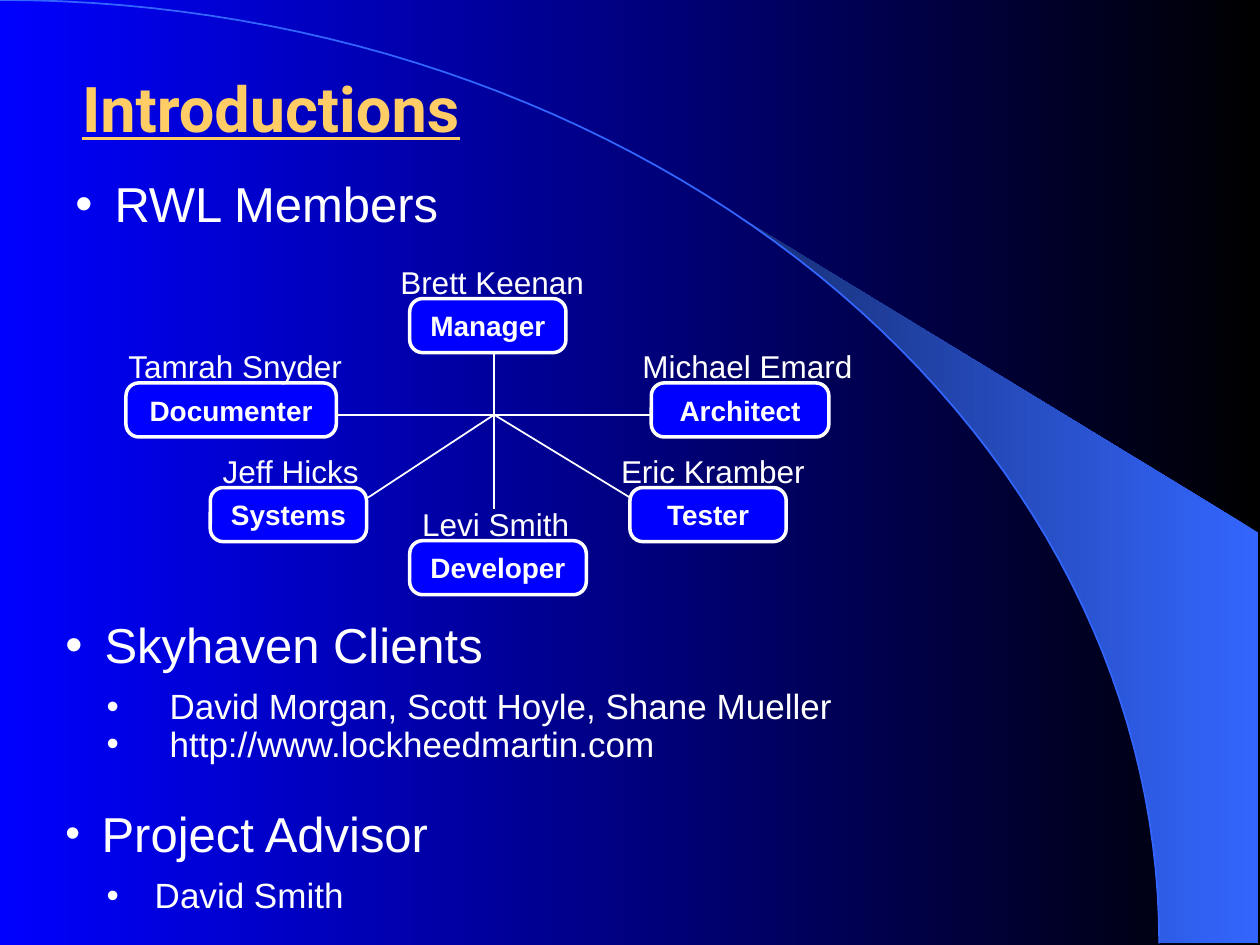
import math
from dataclasses import dataclass

import pptx
import pptx.dml.color
import pptx.enum.shapes
import pptx.enum.text
import pptx.oxml.ns
import pptx.util
from lxml import etree
from pptx.util import Cm

Align = pptx.enum.text.PP_ALIGN
Anchor = pptx.enum.text.MSO_ANCHOR


def rgb(code: str) -> pptx.dml.color.RGBColor:
    return pptx.dml.color.RGBColor.from_string(code)


@dataclass(frozen=True)
class Theme:
    black: str = "000000"
    blue: str = "0000FF"
    sky: str = "3366FF"
    navy: str = "172F75"
    white: str = "FFFFFF"
    gold: str = "FFCC66"
    body_font: str = "Arial"
    title_font: str = "Roboto"
    title_size: int = 36
    heading_size: int = 28
    list_size: int = 20
    name_size: int = 18
    role_size: int = 16
    thin: int = 1
    thick: int = 2


THEME = Theme()


# All lengths below are centimetres
@dataclass(frozen=True)
class Member:
    role: str
    left: float
    top: float
    width: float
    name: str
    name_left: float
    name_width: float


@dataclass(frozen=True)
class BulletBox:
    lines: tuple[str, ...]
    left: float
    top: float
    width: float
    height: float
    size: int
    indent: float
    spacing: float = 1.0
    bullet_percent: int = 100


PAGE_WIDTH, PAGE_HEIGHT = 25.4, 19.05
ARC_WIDTH, ARC_HEIGHT = 23.37, 19.02
WEDGE_START, WEDGE_RIGHT, WEDGE_TOP = 14.96, 25.37, 10.74
ROLE_HEIGHT, NAME_HEIGHT, NAME_RISE = 1.09, 1.02, 0.84

MEMBERS = (
    Member("Manager", 8.26, 6.02, 3.15, "Brett Keenan", 7.82, 4.45),
    Member("Architect", 13.13, 7.72, 3.58, "Michael Emard", 12.7, 4.88),
    Member("Tester", 12.7, 9.83, 3.15, "Eric Kramber", 12.27, 4.65),
    Member("Developer", 8.26, 10.9, 3.56, "Levi Smith", 8.26, 4.24),
    Member("Systems", 4.24, 9.83, 3.15, "Jeff Hicks", 4.24, 3.61),
    Member("Documenter", 2.54, 7.72, 4.24, "Tamrah Snyder", 2.34, 5.08),
)

HUB = (9.96, 8.36)
SPOKES = (
    ((HUB[0], 7.09), (HUB[0], 10.26)),
    ((6.55, HUB[1]), (13.13, HUB[1])),
    (HUB, (7.42, 10.03)),
    (HUB, (12.7, 10.03)),
)

BULLET_BOXES = (
    BulletBox(("RWL Members",), 1.27, 3.38, 8.71, 1.45, THEME.heading_size, 0.79),
    BulletBox(("Skyhaven Clients",), 1.07, 12.27, 9.73, 1.45, THEME.heading_size, 0.79),
    BulletBox(("Project Advisor",), 1.07, 16.08, 8.89, 1.45, THEME.heading_size, 0.73,
              bullet_percent=86),
    BulletBox(("David Morgan, Scott Hoyle, Shane Mueller", "http://www.lockheedmartin.com"),
              1.9, 13.77, 16.13, 1.9, THEME.list_size, 1.27, 0.9),
    BulletBox(("David Smith",), 1.9, 17.58, 16.13, 1.04, THEME.list_size, 0.97, 0.9),
)


def paint_gradient(fill, first: str, last: str) -> None:
    fill.gradient()
    fill.gradient_angle = 180
    for stop, code in zip(fill.gradient_stops, (first, last)):
        stop.color.rgb = rgb(code)


def style_line(line, width: int, code: str) -> None:
    line.color.rgb = rgb(code)
    line.width = pptx.util.Pt(width)


def style_font(font, size: int, bold: bool = False, name: str = THEME.body_font,
               code: str = THEME.white) -> None:
    font.name, font.size, font.bold = name, pptx.util.Pt(size), bold
    font.color.rgb = rgb(code)


def arc_points(start: float, steps: int = 60) -> list[tuple[float, float]]:
    """Points along the quarter ellipse, from an angle to its lower right end."""
    angles = (start + (math.pi / 2 - start) * step / steps for step in range(steps + 1))
    return [(ARC_WIDTH * math.sin(a), ARC_HEIGHT * (1 - math.cos(a))) for a in angles]


def add_outline(page, points: list[tuple[float, float]], close: bool):
    corners = [(Cm(x), Cm(y)) for x, y in points]
    builder = page.shapes.build_freeform(*corners[0])
    builder.add_line_segments(corners[1:], close=close)
    outline = builder.convert_to_shape()
    outline.shadow.inherit = False
    return outline


def add_backdrop(page) -> None:
    paint_gradient(page.background.fill, THEME.black, THEME.blue)
    inner_edge = arc_points(math.asin(WEDGE_START / ARC_WIDTH))
    outer_edge = [(WEDGE_RIGHT, ARC_HEIGHT), (WEDGE_RIGHT, WEDGE_TOP)]
    wedge = add_outline(page, inner_edge + outer_edge, close=True)
    paint_gradient(wedge.fill, THEME.sky, THEME.navy)
    wedge.line.fill.background()
    arc = add_outline(page, arc_points(0), close=False)
    arc.fill.background()
    style_line(arc.line, THEME.thin, THEME.sky)


def add_spoke(page, start: tuple[float, float], end: tuple[float, float]) -> None:
    spoke = page.shapes.add_connector(
        pptx.enum.shapes.MSO_CONNECTOR.STRAIGHT, *(Cm(value) for value in start + end))
    style_line(spoke.line, THEME.thin, THEME.white)
    etree.SubElement(spoke._element.spPr, pptx.oxml.ns.qn("a:effectLst"))


def add_text(page, left: float, top: float, width: float, height: float):
    box = page.shapes.add_textbox(Cm(left), Cm(top), Cm(width), Cm(height))
    box.text_frame.word_wrap = True
    return box.text_frame


def add_member(page, member: Member) -> None:
    box = page.shapes.add_shape(
        pptx.enum.shapes.MSO_SHAPE.ROUNDED_RECTANGLE,
        Cm(member.left), Cm(member.top), Cm(member.width), Cm(ROLE_HEIGHT))
    box.adjustments[0] = 0.24
    box.shadow.inherit = False
    box.fill.solid()
    box.fill.fore_color.rgb = rgb(THEME.blue)
    style_line(box.line, THEME.thick, THEME.white)
    box.text_frame.vertical_anchor = Anchor.MIDDLE
    para = box.text_frame.paragraphs[0]
    para.text, para.alignment = member.role, Align.CENTER
    style_font(para.font, THEME.role_size, bold=True)

    label = add_text(page, member.name_left, member.top - NAME_RISE,
                     member.name_width, NAME_HEIGHT)
    para = label.paragraphs[0]
    para.text = member.name
    style_font(para.font, THEME.name_size)


def add_bullet(para, indent: float, percent: int) -> None:
    qn = pptx.oxml.ns.qn
    props = para._p.get_or_add_pPr()
    props.set("marL", str(Cm(indent)))
    props.set("indent", str(-Cm(indent)))
    colour = etree.SubElement(props, qn("a:buClr"))
    etree.SubElement(colour, qn("a:srgbClr"), val=THEME.white)
    etree.SubElement(props, qn("a:buSzPct"), val=str(percent * 1000))
    etree.SubElement(props, qn("a:buFont"), typeface=THEME.body_font)
    etree.SubElement(props, qn("a:buChar"), char="•")


def add_bullet_box(page, item: BulletBox) -> None:
    frame = add_text(page, item.left, item.top, item.width, item.height)
    frame.text = "\n".join(item.lines)
    for para in frame.paragraphs:
        add_bullet(para, item.indent, item.bullet_percent)
        para.line_spacing = item.spacing
        style_font(para.font, item.size)


def add_title(page) -> None:
    frame = add_text(page, -2.34, 1.27, 15.6, 1.78)
    frame.vertical_anchor = Anchor.MIDDLE
    para = frame.paragraphs[0]
    para.text, para.alignment = "Introductions", Align.CENTER
    style_font(para.font, THEME.title_size, True, THEME.title_font, THEME.gold)
    para.font.underline = True


def main() -> None:
    deck = pptx.Presentation()
    deck.slide_width, deck.slide_height = Cm(PAGE_WIDTH), Cm(PAGE_HEIGHT)
    page = deck.slides.add_slide(deck.slide_layouts[6])
    add_backdrop(page)
    # Team diagram
    for start, end in SPOKES:
        add_spoke(page, start, end)
    for member in MEMBERS:
        add_member(page, member)
    # Headings and lists
    for item in BULLET_BOXES:
        add_bullet_box(page, item)
    add_title(page)
    deck.save("out.pptx")


if __name__ == "__main__":
    main()
